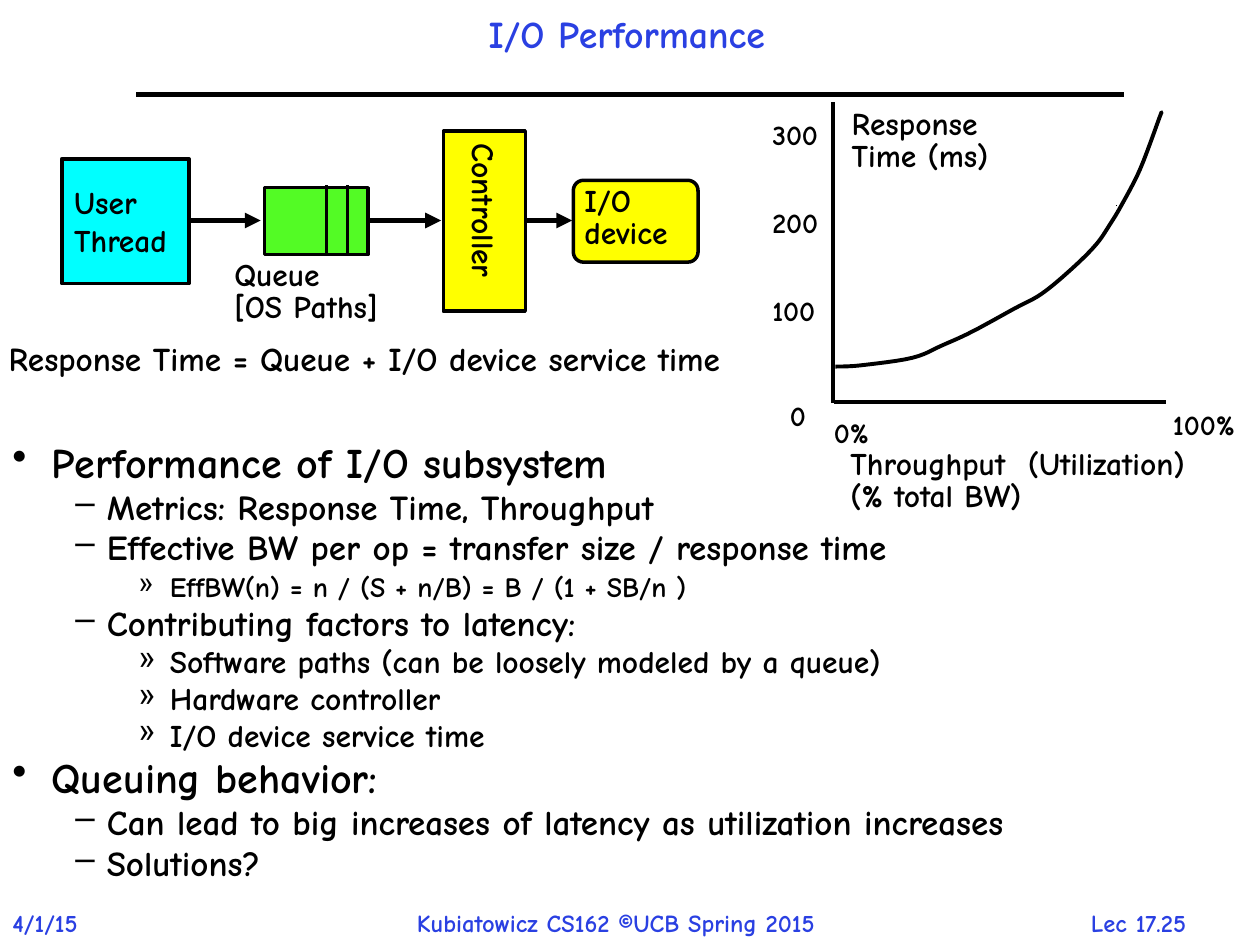
from pptx import Presentation
from pptx.dml.color import RGBColor
from pptx.enum.shapes import MSO_CONNECTOR, MSO_SHAPE
from pptx.enum.text import MSO_ANCHOR, MSO_AUTO_SIZE, PP_ALIGN
from pptx.oxml.ns import qn
from pptx.util import Pt
from lxml.etree import SubElement

HUES = {"ink": "000000", "blue": "2A40E2", "cyan": "00FFFF",
        "green": "53FB25", "gold": "FFFF00"}
WIDE = (7.2, 3.6)
SLIM = (5, 2.2)
LEVELS = (("•", 22.5, 22.5), ("–", 54, 18), ("»", 90, 18))
BODY = (
    (0, 24, 0.2, "Performance of I/O subsystem"),
    (1, 20, 0.2, "Metrics: Response Time, Throughput"),
    (1, 20, 0.2, "Effective BW per op = transfer size / response time"),
    (2, 16, 0.3, "EffBW(n) = n / (S + n/B) = B / (1 + SB/n )"),
    (1, 20, 0.2, "Contributing factors to latency:"),
    (2, 18, 0.2, "Software paths (can be loosely modeled by a queue)"),
    (2, 18, 0.2, "Hardware controller"),
    (2, 18, 0.2, "I/O device service time"),
    (0, 24, 0.2, "Queuing behavior:"),
    (1, 20, 0.2, "Can lead to big increases of latency as utilization increases"),
    (1, 20, 0.2, "Solutions?"),
)
CURVE = ((477.4, 209.5), (491.8, 208.8), (521.3, 204.5), (538.6, 197.3),
         (555.8, 189.4), (579.6, 176.4), (595.4, 167.8), (612.7, 153.4),
         (626.4, 139.7), (634.3, 128.2), (640.8, 117.4), (651.6, 96.5),
         (662.4, 67.7), (663.8, 64.1))


def smooth(knots, steps=6):
    """Return points along a Catmull-Rom curve through the knots."""
    ends = [knots[0], *knots, knots[-1]]
    out = [knots[0]]
    for a, b, c, d in zip(ends, ends[1:], ends[2:], ends[3:]):
        for n in range(1, steps + 1):
            t = n / steps
            out.append(tuple(
                q + t * ((r - p) + t * ((2 * p - 5 * q + 4 * r - s)
                                        + t * (3 * q - p - 3 * r + s))) / 2
                for p, q, r, s in zip(a, b, c, d)))
    return out


class Pen:
    """Draws styled elements on one slide."""

    def __init__(self, slide, font="Comic Neue"):
        self.slide = slide
        self.shapes = slide.shapes
        self.font = font

    def hue(self, name):
        return RGBColor.from_string(HUES[name])

    def run(self, para, text, size, hue="ink"):
        run = para.add_run()
        run.text = text
        font = run.font
        font.name, font.size, font.bold = self.font, Pt(size), True
        font.color.rgb = self.hue(hue)

    def fill(self, frame, lines, size, hue="ink", gap=1.0,
             align=PP_ALIGN.LEFT, pad=WIDE):
        frame.margin_left = frame.margin_right = Pt(pad[0])
        frame.margin_top = frame.margin_bottom = Pt(pad[1])
        for i, text in enumerate(lines):
            para = frame.add_paragraph() if i else frame.paragraphs[0]
            para.alignment, para.line_spacing = align, gap
            self.run(para, text, size, hue)

    def text(self, at, lines, size, wrap=False, grow=True,
             anchor=MSO_ANCHOR.TOP, **style):
        frame = self.shapes.add_textbox(*map(Pt, at)).text_frame
        frame.word_wrap = wrap
        if grow:
            frame.auto_size = MSO_AUTO_SIZE.SHAPE_TO_FIT_TEXT
        frame.vertical_anchor = anchor
        self.fill(frame, lines, size, **style)

    def label(self, at, *lines, size=18, gap=0.85, wrap=False):
        self.text(at, lines, size, wrap=wrap, gap=gap, pad=SLIM)

    def box(self, at, hue, lines=(), kind=MSO_SHAPE.RECTANGLE, turn=None):
        shape = self.shapes.add_shape(kind, *map(Pt, at))
        shape.shadow.inherit = False
        shape.fill.solid()
        shape.fill.fore_color.rgb = self.hue(hue)
        shape.line.color.rgb, shape.line.width = self.hue("ink"), Pt(2)
        if kind == MSO_SHAPE.ROUNDED_RECTANGLE:
            shape.adjustments[0] = 0.125
        if lines:
            frame = shape.text_frame
            frame.word_wrap = True
            frame.vertical_anchor = MSO_ANCHOR.MIDDLE
            self.fill(frame, lines, 18)
            if turn:
                frame._txBody.bodyPr.set("vert", turn)

    def line(self, x1, y1, x2, y2, width=2, arrow=False):
        link = self.shapes.add_connector(
            MSO_CONNECTOR.STRAIGHT, *map(Pt, (x1, y1, x2, y2)))
        link.line.color.rgb, link.line.width = self.hue("ink"), Pt(width)
        props = link.element.spPr
        if arrow:
            SubElement(props.find(qn("a:ln")), qn("a:tailEnd"), type="triangle")
        SubElement(props, qn("a:effectLst"))

    def curve(self, knots, width):
        first, *rest = [(Pt(x), Pt(y)) for x, y in smooth(knots)]
        path = self.shapes.build_freeform(*first)
        path.add_line_segments(rest, close=False)
        shape = path.convert_to_shape()
        shape.shadow.inherit = False
        shape.fill.background()
        shape.line.color.rgb, shape.line.width = self.hue("ink"), Pt(width)

    def list(self, at, items):
        frame = self.shapes.add_textbox(*map(Pt, at)).text_frame
        frame.word_wrap = True
        for i, (level, size, lead, text) in enumerate(items):
            para = frame.add_paragraph() if i else frame.paragraphs[0]
            para.level, para.line_spacing = level, 0.8
            para.space_before = Pt(size * lead)
            mark, left, hang = LEVELS[level]
            props = para._p.get_or_add_pPr()
            props.set("marL", str(Pt(left)))
            props.set("indent", str(-Pt(hang)))
            SubElement(props, qn("a:buChar"), char=mark)
            self.run(para, text, size)


def main():
    deck = Presentation()
    deck.slide_width, deck.slide_height = Pt(720), Pt(540)
    pen = Pen(deck.slides.add_slide(deck.slide_layouts[6]))

    pen.text((61.2, 5.8, 594, 30.2), ["I/O Performance"], 21.6, wrap=True,
             grow=False, anchor=MSO_ANCHOR.MIDDLE, hue="blue", gap=0.9,
             align=PP_ALIGN.CENTER)
    pen.line(77.8, 54, 642.2, 54, 3)
    for left, width, text in ((0, 63.4, "4/1/15"),
                              (231.1, 278.6, "Kubiatowicz CS162 ©UCB Spring 2015"),
                              (616.3, 95.8, "Lec 17.25")):
        pen.text((left, 515.5, width, 24.5), [text], 14, hue="blue")

    for start, end in ((102.2, 149), (211.7, 252), (300.2, 326.9)):
        pen.line(start, 126, end, 126, 3, arrow=True)
    pen.box((35.3, 90.7, 72.7, 71.3), "cyan", ("User", "Thread"))
    pen.box((151.2, 107.3, 59, 38.2), "green")
    for x in (186.5, 198.7):
        pen.line(x, 146.2, x, 105.8)
    pen.box((253.4, 74.9, 46.8, 103), "gold", ("Controller",), turn="eaVert")
    pen.box((327.6, 103, 71.3, 46.8), "gold", kind=MSO_SHAPE.ROUNDED_RECTANGLE)
    pen.label((329, 104.4, 67, 41.8), "I/O", "device")
    pen.label((128.9, 146.9, 106.6, 41), "Queue", "[OS Paths]")
    pen.label((0, 194.4, 480.2, 24.5),
              "Response Time = Queue + I/O device service time",
              size=19, wrap=True)

    pen.list((0, 251.3, 720, 257.8), BODY)

    pen.line(475.9, 230.4, 475.9, 58.3)
    pen.line(476.6, 229.7, 666, 229.7)
    pen.curve(CURVE, 2.25)
    pen.line(637.6, 117.4, 638.2, 117.4, 1)
    pen.label((481.7, 60.5, 97.2, 41.8), "Response", "Time (ms)")
    pen.label((481, 254.9, 227.5, 41), "Throughput  (Utilization)", "(% total BW)")
    ticks = [(436.3, 67 + 50.4 * i, 39.6, str(300 - 100 * i)) for i in range(3)]
    ticks += [(446.4, 227.5, 20.2, "0"), (471.6, 237.6, 33.8, "0%"),
              (665.3, 232.6, 52.6, "100%")]
    for left, top, width, text in ticks:
        pen.label((left, top, width, 21.6), text, size=16, gap=0.9)

    deck.save("out.pptx")


if __name__ == "__main__":
    main()
